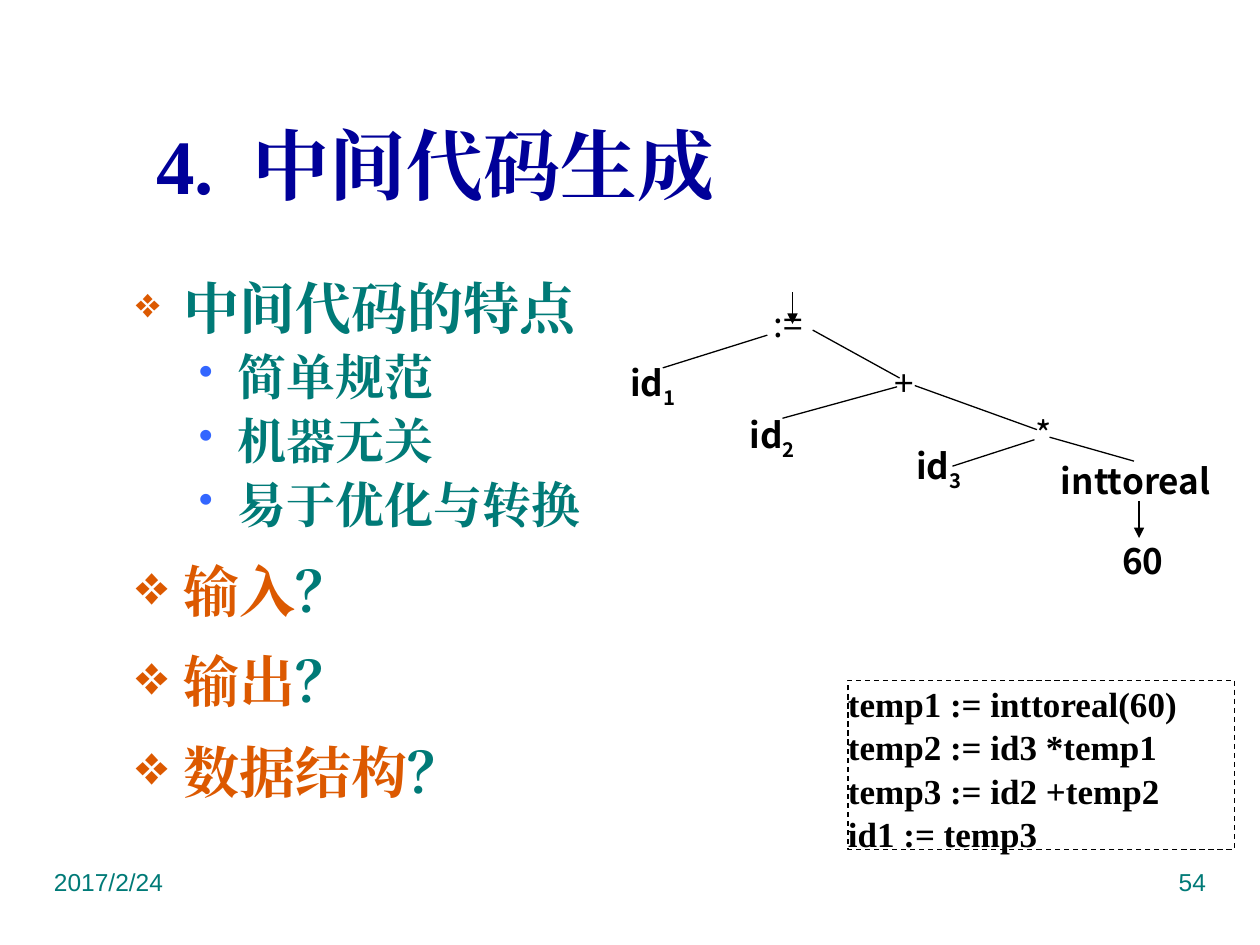
from lxml.etree import SubElement
from pptx import Presentation
from pptx.dml.color import RGBColor
from pptx.enum.dml import MSO_LINE
from pptx.enum.shapes import MSO_CONNECTOR, MSO_SHAPE
from pptx.enum.text import MSO_ANCHOR, PP_ALIGN
from pptx.oxml.ns import qn
from pptx.util import Inches, Pt

SERIF, SANS, CJK = "Times New Roman", "Arial", "Noto Sans CJK SC"
TEAL, ORANGE, BLUE, NAVY, BLACK = "007A77", "DC5900", "3366FF", "000099", "000000"


def rgb(value):
    return RGBColor.from_string(value)


def add_run(paragraph, text, font=SERIF, size=20, color=BLACK, bold=True,
            baseline=None, spacing=None):
    run = paragraph.add_run()
    run.text = text
    run.font.name = font
    run.font.size = Pt(size)
    run.font.bold = bold
    run.font.color.rgb = rgb(color)
    properties = run.font._element
    SubElement(properties, qn("a:ea")).set("typeface", font)
    if baseline:
        properties.set("baseline", str(baseline * 1000))
    if spacing:
        properties.set("spc", str(spacing * 100))


def set_frame(frame, inset=True, wrap=True, anchor=MSO_ANCHOR.TOP):
    frame.word_wrap = wrap
    frame.vertical_anchor = anchor
    if not inset:
        frame.margin_left = frame.margin_right = 0
        frame.margin_top = frame.margin_bottom = 0


def add_text(slide, box, runs, align=PP_ALIGN.LEFT, frame_format=None, **font):
    """Place one paragraph; runs holds (text, font changes) pairs."""
    frame = slide.shapes.add_textbox(*map(Inches, box)).text_frame
    set_frame(frame, **(frame_format or {}))
    paragraph = frame.paragraphs[0]
    paragraph.alignment = align
    for text, changes in runs:
        add_run(paragraph, text, **{**font, **changes})


def set_bullet(paragraph, char, margin, hanging, color=None, percent=None):
    properties = paragraph._p.get_or_add_pPr()
    properties.set("marL", str(Inches(margin)))
    properties.set("indent", str(-Inches(hanging)))
    if color:
        fill = SubElement(properties, qn("a:buClr"))
        SubElement(fill, qn("a:srgbClr")).set("val", color)
    if percent:
        SubElement(properties, qn("a:buSzPct")).set("val", str(percent * 1000))
    SubElement(properties, qn("a:buChar")).set("char", char)


def add_outline(slide, box):
    frame = slide.shapes.add_textbox(*map(Inches, box)).text_frame
    set_frame(frame)
    heading = dict(char="❖", margin=0.38, hanging=0.38, color=ORANGE, percent=75)
    feature = dict(char="•", margin=0.81, hanging=0.31, color=BLUE, percent=85)
    question = dict(char="❖", margin=0.38, hanging=0.38)
    items = [(heading, 0, 32, [("中间代码的特点", TEAL)])]
    items += [(feature, 6.5, 28, [(text, TEAL)])
              for text in ("简单规范", "机器无关", "易于优化与转换")]
    items += [(question, 17, 32, [(text, ORANGE), ("？", TEAL)])
              for text in ("输入", "输出", "数据结构")]
    for index, (bullet, space, size, runs) in enumerate(items):
        paragraph = frame.add_paragraph() if index else frame.paragraphs[0]
        paragraph.line_spacing = 0.9
        paragraph.space_before = Pt(space)
        set_bullet(paragraph, **bullet)
        for text, color in runs:
            add_run(paragraph, text, size=size, color=color)


def add_line(slide, start, end, arrow=False):
    line = slide.shapes.add_connector(MSO_CONNECTOR.STRAIGHT, *map(Inches, start + end))
    line.line.color.rgb = rgb(BLACK)
    line.line.width = Pt(0.75)
    if arrow:
        SubElement(line.line._get_or_add_ln(), qn("a:tailEnd")).set("type", "triangle")
    SubElement(line._element.spPr, qn("a:effectLst"))


def add_syntax_tree(slide, left, top):
    def place(x, y):
        return left + x, top + y

    edges = [
        ((1.29, 0), (1.29, 0.25), True),
        ((1.09, 0.34), (0.26, 0.6), False),
        ((1.45, 0.3), (2.14, 0.68), False),
        ((2.12, 0.75), (1.21, 1), False),
        ((2.26, 0.74), (3.23, 1.09), False),
        ((3.21, 1.17), (2.56, 1.38), False),
        ((3.33, 1.15), (4, 1.34), False),
        ((4.04, 1.66), (4.04, 1.95), True),
    ]
    for start, end, arrow in edges:
        add_line(slide, place(*start), place(*end), arrow)

    operators = [(":=", 1.14, 0.08, 0.37), ("+", 2.1, 0.55, 0.14), ("*", 3.22, 0.95, 0.14)]
    for text, x, y, width in operators:
        add_text(slide, (*place(x, y), width, 0.33), [(text, {})], font=CJK, bold=False,
                 frame_format=dict(inset=False, wrap=False))

    identifiers = [("1", 0, 0.55), ("2", 0.95, 0.96), ("3", 2.27, 1.21)]
    for number, x, y in identifiers:
        add_text(slide, (*place(x, y), 0.55, 0.33), [("id", {}), (number, {"baseline": -25})],
                 font=CJK, frame_format=dict(inset=False))

    add_text(slide, (*place(3.42, 1.33), 1.28, 0.43), [("inttoreal", {})], font=CJK,
             frame_format=dict(inset=False, wrap=False))
    add_text(slide, (*place(3.8, 1.96), 0.54, 0.33), [("60", {})], font=CJK,
             align=PP_ALIGN.CENTER, frame_format=dict(inset=False))


def add_code(slide, box):
    panel = slide.shapes.add_shape(MSO_SHAPE.RECTANGLE, *map(Inches, box))
    panel.shadow.inherit = False
    panel.fill.background()
    panel.line.color.rgb = rgb(BLACK)
    panel.line.width = Pt(0.75)
    panel.line.dash_style = MSO_LINE.DASH
    frame = panel.text_frame
    set_frame(frame, inset=False)
    statements = ["temp1 := inttoreal(60)", "temp2 := id3 *temp1",
                  "temp3 := id2 +temp2", "id1 := temp3"]
    for index, statement in enumerate(statements):
        paragraph = frame.add_paragraph() if index else frame.paragraphs[0]
        paragraph.alignment = PP_ALIGN.LEFT
        paragraph.line_spacing = 1.04
        add_run(paragraph, statement)


def add_footer(slide, left, top, width):
    column = 2.5
    style = dict(font=SANS, size=14, color=TEAL, bold=False)
    add_text(slide, (left, top, column, 0.52), [("2017/2/24", {})], **style)
    add_text(slide, (left + width - column, top, column, 0.52), [("54", {})],
             align=PP_ALIGN.RIGHT, **style)


def main():
    presentation = Presentation()
    presentation.slide_width, presentation.slide_height = Inches(10), Inches(7.5)
    slide = presentation.slides.add_slide(presentation.slide_layouts[6])
    add_footer(slide, 0.33, 6.83, 9.34)
    add_text(slide, (1.14, 0.84, 5.5, 0.92),
             [("4.", {}), (" ", {"spacing": 11}), ("中间代码生成", {})],
             size=44, color=NAVY, frame_format=dict(anchor=MSO_ANCHOR.MIDDLE))
    add_outline(slide, (0.98, 2.18, 8.5, 4.65))
    add_code(slide, (6.73, 5.4, 3.07, 1.34))
    add_syntax_tree(slide, 5, 2.32)
    presentation.save("out.pptx")


if __name__ == "__main__":
    main()
